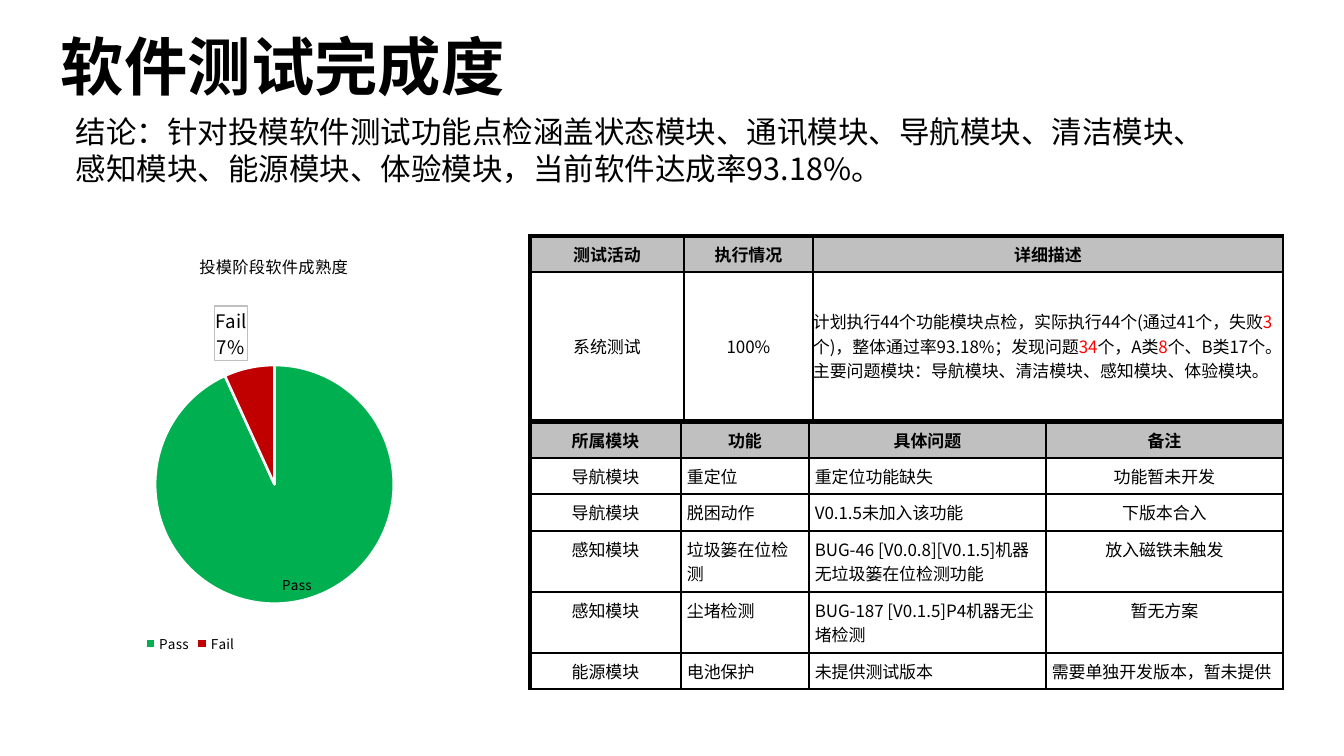
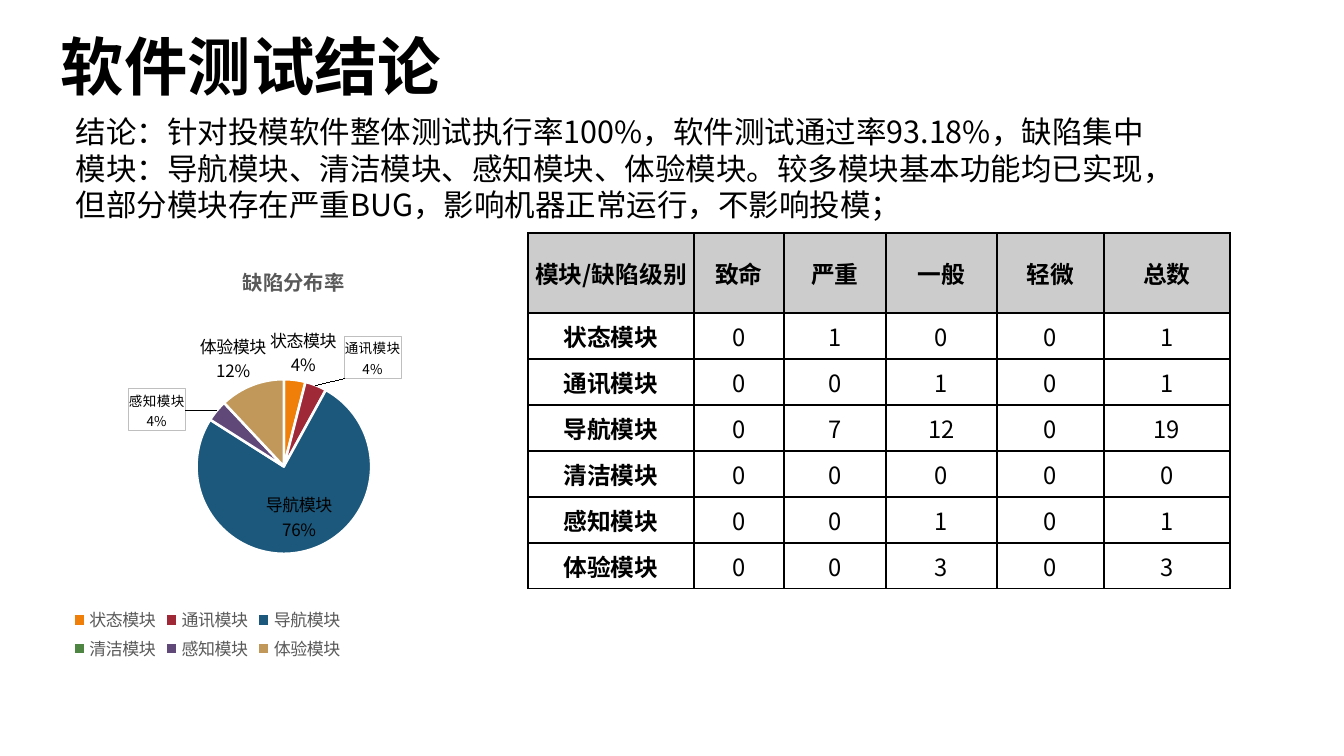
from dataclasses import dataclass

from pptx import Presentation
from pptx.chart.data import CategoryChartData
from pptx.dml.color import RGBColor
from pptx.enum.chart import XL_CHART_TYPE, XL_LEGEND_POSITION
from pptx.enum.text import MSO_ANCHOR, PP_ALIGN
from pptx.oxml import parse_xml
from pptx.oxml.ns import nsdecls, qn
from pptx.util import Emu, Pt

PIE, BOTTOM_LEGEND = XL_CHART_TYPE.PIE, XL_LEGEND_POSITION.BOTTOM
LEFT, CENTER = PP_ALIGN.LEFT, PP_ALIGN.CENTER
TOP, MIDDLE, BOTTOM = MSO_ANCHOR.TOP, MSO_ANCHOR.MIDDLE, MSO_ANCHOR.BOTTOM


@dataclass(frozen=True)
class Theme:
    font: str = "Noto Sans CJK SC"
    ink: str = "000000"
    grey: str = "595959"
    alert: str = "FF0000"
    white: str = "FFFFFF"
    label_edge: str = "BFBFBF"
    title: float = 37.4
    body: float = 18
    cell: float = 10
    big_cell: float = 14
    thin: float = 0.96
    thick: float = 2.21


T = Theme()
RED = T.alert
BREAK = "\n"

# ---- Content ----
SUMMARY_TABLE = dict(
    at=(530, 236), cols=(154, 129, 470), rows=(36, 148),
    header="C0C0C0", edge=T.thick, anchor=MIDDLE,
    cells=[
        ["测试活动", "执行情况", "详细描述"],
        ["系统测试", "100%", [
            "计划执行44个功能模块点检，实际执行44个(通过41个，失败", ("3", RED),
            "个)，整体通过率93.18%；发现问题", ("34", RED), "个，A类", ("8", RED),
            "个、B类17个。", BREAK,
            "主要问题模块：导航模块、清洁模块、感知模块、体验模块。"]],
    ],
    left_cells={(1, 2)}, flush_cells={(1, 2)})

ISSUE_TABLE = dict(
    at=(530, 422), cols=(151, 128, 237, 237), rows=(36, 36, 37, 61, 61, 36),
    header="C0C0C0", edge=T.thick,
    cells=[
        ["所属模块", "功能", "具体问题", "备注"],
        ["导航模块", "重定位", "重定位功能缺失", "功能暂未开发"],
        ["导航模块", "脱困动作", "V0.1.5未加入该功能", "下版本合入"],
        ["感知模块", "垃圾篓在位检测", "BUG-46 [V0.0.8][V0.1.5]机器无垃圾篓在位检测功能", "放入磁铁未触发"],
        ["感知模块", "尘堵检测", "BUG-187 [V0.1.5]P4机器无尘堵检测", "暂无方案"],
        ["能源模块", "电池保护", "未提供测试版本", "需要单独开发版本，暂未提供"],
    ],
    left_cells={(r, c) for r in range(1, 6) for c in (1, 2)} | {(5, 3)})

DEFECT_TABLE = dict(
    at=(528, 233), cols=(166, 90, 102, 111, 107, 126), rows=(80,) + (46,) * 6,
    header="CCCCCC", anchor=MIDDLE, size=T.big_cell, side=4, bold_first=True,
    cells=[
        ["模块/缺陷级别", "致命", "严重", "一般", "轻微", "总数"],
        ["状态模块", 0, 1, 0, 0, 1],
        ["通讯模块", 0, 0, 1, 0, 1],
        ["导航模块", 0, 7, 12, 0, 19],
        ["清洁模块", 0, 0, 0, 0, 0],
        ["感知模块", 0, 0, 1, 0, 1],
        ["体验模块", 0, 0, 3, 0, 3],
    ])

# Points: category, value, colour, label format (None hides the label)
MATURITY_CHART = dict(
    at=(45, 237, 459, 423), title="投模阶段软件成熟度", series="投模阶段软件成熟度",
    title_fmt=dict(size=9.6), legend_fmt=dict(size=8),
    title_at=(0.33, 0.03), plot_at=(0.24, 0.3, 0.52, 0.57), legend_at=(0.21, 0.93),
    series_label=dict(value=1, percent=0),
    points=[
        ("Pass", 41, "00B050", dict(size=8, pos="inEnd", shift=(0.03, 0), percent=0)),
        ("Fail", 3, "C00000", dict(size=11, shift=(0, 0), boxed=True)),
    ])

DEFECT_CHART = dict(
    at=(56, 256, 426, 409), title="缺陷分布率", series="Series 1",
    title_fmt=dict(size=12, bold=True, color=T.grey),
    legend_fmt=dict(size=10, color=T.grey),
    title_at=(0.43, 0.01), plot_at=(0.33, 0.3, 0.41, 0.43),
    legend_at=(0.03, 0.85, 0.65, 0.15),
    series_label=dict(value=0, percent=1),
    points=[
        ("状态模块", 4, "F07F09", dict(size=10, shift=(-0.06, 0.01))),
        ("通讯模块", 4, "9F2936", dict(size=8, shift=(0.06, 0), boxed=True)),
        ("导航模块", 76, "1B587C", dict(size=10, pos="ctr", shift=(0.01, 0.02))),
        ("清洁模块", 0, "4E8542", None),
        ("感知模块", 4, "604878", dict(size=8, shift=(-0.06, 0.06), boxed=True)),
        ("体验模块", 12, "C19859", dict(size=10, shift=(0.04, 0.01))),
    ])

SLIDES = [
    dict(title="软件测试完成度",
         conclusion="结论：针对投模软件测试功能点检涵盖状态模块、通讯模块、导航模块、清洁模块、"
                    "感知模块、能源模块、体验模块，当前软件达成率93.18%。",
         conclusion_size=(1150, 63),
         chart=MATURITY_CHART, tables=[SUMMARY_TABLE, ISSUE_TABLE]),
    dict(title="软件测试结论",
         conclusion="结论：针对投模软件整体测试执行率100%，软件测试通过率93.18%，缺陷集中模块："
                    "导航模块、清洁模块、感知模块、体验模块。较多模块基本功能均已实现，"
                    "但部分模块存在严重BUG，影响机器正常运行，不影响投模；",
         conclusion_size=(1098, 117),
         chart=DEFECT_CHART, tables=[DEFECT_TABLE]),
]


# ---- Text ----
def px(n):
    return Emu(round(n * 914400 / 122))


def style(font, size, color=T.ink, bold=False):
    font.size, font.bold, font.name = Pt(size), bold, T.font
    font.color.rgb = RGBColor.from_string(color)
    font._rPr.append(parse_xml(f'<a:ea {nsdecls("a")} typeface="{T.font}"/>'))


def write(tf, text, size, color=T.ink, bold=False, align=LEFT):
    """Text is one value or a list of runs; a run may carry its own colour."""
    tf.word_wrap = True
    p = tf.paragraphs[0]
    p.alignment = align
    for run in text if isinstance(text, list) else [str(text)]:
        if run == BREAK:
            p.add_line_break()
            continue
        words, run_color = run if isinstance(run, tuple) else (run, color)
        r = p.add_run()
        r.text = words
        style(r.font, size, run_color, bold)


def set_margins(frame, left, top, right, bottom):
    frame.margin_left, frame.margin_top = px(left), px(top)
    frame.margin_right, frame.margin_bottom = px(right), px(bottom)


def add_text(s, text, at, margins, anchor=TOP, **fmt):
    tf = s.shapes.add_textbox(*map(px, at)).text_frame
    set_margins(tf, *margins)
    tf.vertical_anchor = anchor
    write(tf, text, **fmt)


# ---- Tables ----
def add_border(cell, side, width):
    cell._tc.get_or_add_tcPr().append(parse_xml(
        f'<a:ln{side} {nsdecls("a")} w="{Pt(width)}"><a:solidFill>'
        f'<a:srgbClr val="{T.ink}"/></a:solidFill></a:ln{side}>'))


def add_grid(s, at, cols, rows, header, cells, edge=T.thin, anchor=TOP, size=T.cell,
             side=6, bold_first=False, left_cells=(), flush_cells=()):
    x, y = at
    table = s.shapes.add_table(len(rows), len(cols), px(x), px(y),
                               px(sum(cols)), px(sum(rows))).table
    table.first_row = table.horz_banding = False
    for col, width in zip(table.columns, cols):
        col.width = px(width)
    for row, height in zip(table.rows, rows):
        row.height = px(height)
    for r, values in enumerate(cells):
        for c, value in enumerate(values):
            cell = table.cell(r, c)
            margin = 0 if (r, c) in flush_cells else side
            set_margins(cell, margin, 6, margin, 6)
            cell.vertical_anchor = anchor
            write(cell.text_frame, value, size, bold=r == 0 or (bold_first and c == 0),
                  align=LEFT if (r, c) in left_cells else CENTER)
            for name, width in (("L", T.thin if c else edge), ("R", T.thin),
                                ("T", T.thin if r else edge), ("B", T.thin)):
                add_border(cell, name, width)
            if r == 0:
                cell.fill.solid()
                cell.fill.fore_color.rgb = RGBColor.from_string(header)
            else:
                cell.fill.background()


# ---- Charts ----
def layout_xml(place, edge=True, inner=False):
    parts = '<c:layoutTarget val="inner"/>' if inner else ""
    if edge:
        parts += '<c:xMode val="edge"/><c:yMode val="edge"/>'
    parts += "".join(f'<c:{k} val="{v}"/>' for k, v in zip("xywh", place))
    return f'<c:layout {nsdecls("c")}><c:manualLayout>{parts}</c:manualLayout></c:layout>'


def set_layout(parent, place, after=None, **kinds):
    for old in parent.findall(qn("c:layout")):
        parent.remove(old)
    layout = parse_xml(layout_xml(place, **kinds))
    if after:
        parent.find(qn(after)).addnext(layout)
    else:
        parent.insert(0, layout)


def show_xml(value=0, percent=1):
    flags = dict(LegendKey=0, Val=value, CatName=1, SerName=0,
                 Percent=percent, BubbleSize=0)
    return "".join(f'<c:show{k} val="{v}"/>' for k, v in flags.items())


def label_xml(i, fmt):
    if fmt is None:
        return f'<c:dLbl><c:idx val="{i}"/><c:delete val="1"/></c:dLbl>'
    box = ""
    if fmt.get("boxed"):
        fill = '<a:solidFill><a:srgbClr val="{}"/></a:solidFill>'
        box = (f'<c:spPr>{fill.format(T.white)}<a:ln w="9525">'
               f'{fill.format(T.label_edge)}</a:ln></c:spPr>')
    layout = layout_xml(fmt["shift"], edge=False) if any(fmt["shift"]) else ""
    return (f'<c:dLbl><c:idx val="{i}"/>{layout}'
            f'<c:numFmt formatCode="0%" sourceLinked="0"/>{box}'
            f'<c:txPr><a:bodyPr/><a:p><a:pPr><a:defRPr sz="{fmt["size"] * 100}" b="0">'
            f'<a:solidFill><a:srgbClr val="{T.ink}"/></a:solidFill>'
            f'<a:latin typeface="{T.font}"/><a:ea typeface="{T.font}"/></a:defRPr></a:pPr>'
            f'<a:endParaRPr/></a:p></c:txPr><c:dLblPos val="{fmt.get("pos", "outEnd")}"/>'
            f'{show_xml(percent=fmt.get("percent", 1))}'
            f'<c:separator>\n</c:separator></c:dLbl>')


def add_pie(s, at, title, series, title_fmt, legend_fmt, title_at, plot_at, legend_at,
            series_label, points):
    data = CategoryChartData()
    names, values, colors, labels = zip(*points)
    data.categories = names
    data.add_series(series, values)
    chart = s.shapes.add_chart(PIE, *map(px, at), data).chart
    style(chart.font, T.cell)

    chart.has_title = True
    write(chart.chart_title.text_frame, title, **title_fmt)
    set_layout(chart.chart_title._element, title_at, "c:tx")

    chart.has_legend = True
    chart.legend.position = BOTTOM_LEGEND
    chart.legend.include_in_layout = False
    style(chart.legend.font, **legend_fmt)
    set_layout(chart.legend._element, legend_at, "c:legendPos")

    plot = chart.plots[0]
    plot.vary_by_categories = True
    set_layout(plot._element.getparent(), plot_at, inner=True)
    pie = plot.series[0]
    for i, color in enumerate(colors):
        fmt = pie.points[i].format
        fmt.fill.solid()
        fmt.fill.fore_color.rgb = RGBColor.from_string(color)
        fmt.line.color.rgb = RGBColor.from_string(T.white)
        fmt.line.width = Pt(1.5)
    point_labels = "".join(label_xml(i, fmt) for i, fmt in enumerate(labels))
    pie._element.find(qn("c:cat")).addprevious(parse_xml(
        f'<c:dLbls {nsdecls("c", "a")}>{point_labels}<c:dLblPos val="outEnd"/>'
        f'{show_xml(**series_label)}<c:showLeaderLines val="1"/></c:dLbls>'))


# ---- Slides ----
def main():
    prs = Presentation()
    prs.slide_width, prs.slide_height = px(1344), px(756)
    for page in SLIDES:
        s = prs.slides.add_slide(prs.slide_layouts[6])
        add_text(s, page["title"], (45, 31, 726, 80), (16, 8, 16, 8),
                 anchor=BOTTOM, size=T.title, bold=True)
        add_text(s, page["conclusion"], (76, 113, *page["conclusion_size"]),
                 (0, 0, 0, 0), size=T.body)
        add_pie(s, **page["chart"])
        for table in page["tables"]:
            add_grid(s, **table)
    prs.save("out.pptx")


if __name__ == "__main__":
    main()
